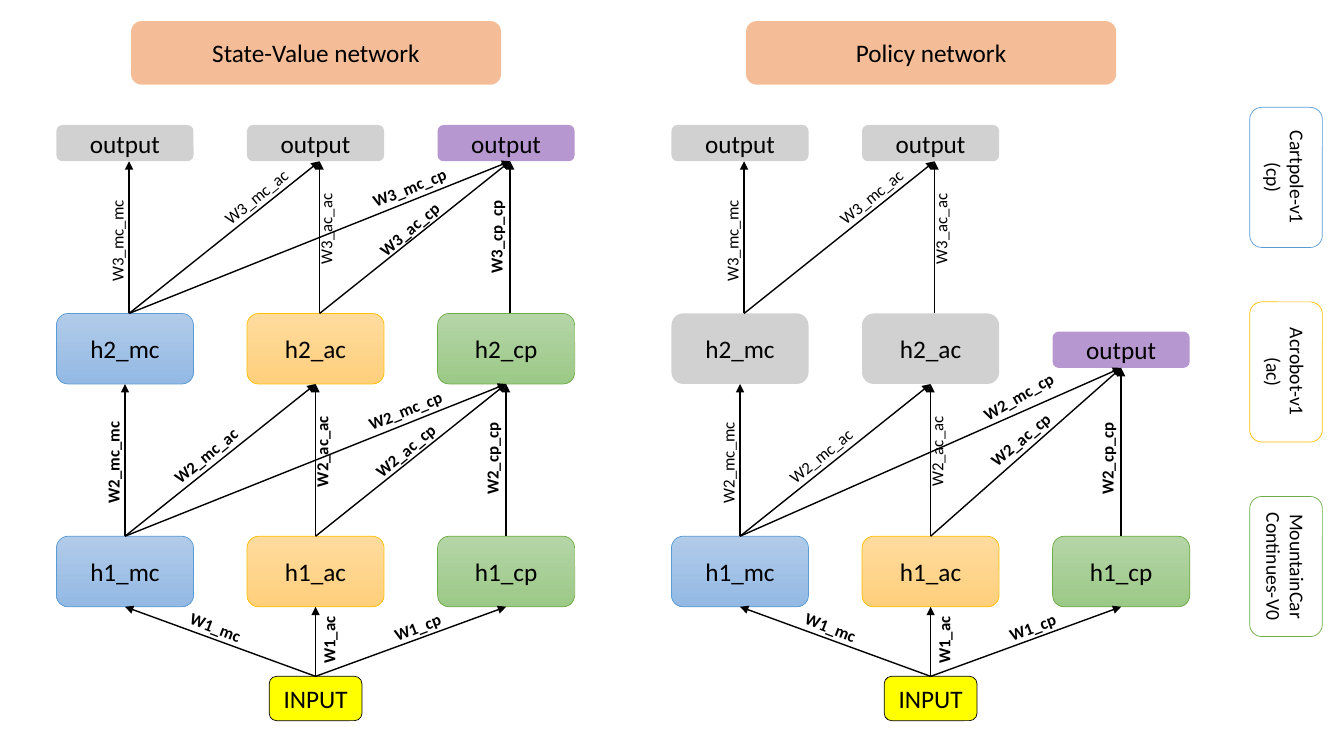
"""Build a slide of two progressive networks with their weights and a task legend."""
from dataclasses import dataclass

from lxml.etree import SubElement
from pptx import Presentation
from pptx.dml.color import RGBColor
from pptx.enum.shapes import MSO_CONNECTOR as CONN, MSO_SHAPE as SHAPE
from pptx.enum.text import MSO_ANCHOR as ANCHOR, PP_ALIGN as ALIGN
from pptx.oxml.ns import qn
from pptx.util import Pt

PX = 9144


@dataclass(frozen=True)
class Style:
    fill: tuple = ()
    line: str = ""
    alpha: int = 100


@dataclass(frozen=True)
class Theme:
    font: str = "Calibri"
    ink: str = "000000"
    node_pt: int = 18
    legend_pt: int = 14
    weight_pt: int = 12
    box_line: float = 0.5
    arrow_line: float = 1


THEME = Theme()
STYLES = {
    "mc": Style(("B1CBE9", "93B9E4"), "5B9BD5"),
    "ac": Style(("FFDB9E", "FFD07C"), "FFC000"),
    "cp": Style(("B5D5A7", "9CC987"), "70AD47"),
    "input": Style(("FFFF00",), "000000"),
    "frozen": Style(("A5A5A5",), alpha=50),
    "output": Style(("7030A0",), alpha=50),
    "heading": Style(("ED7D31",), alpha=50),
}
COLUMNS = ["mc", "ac", "cp"]
FIRST_X, COLUMN_STEP = 124, 189
ROWS = {
    "heading": (21, 367, 63),
    "out": (124, 136, 36),
    "h2": (311, 136, 70),
    "mid_out": (329, 136, 36),
    "h1": (532, 136, 70),
    "in": (671, 92, 44),
}
BASE_NODES = [("in", "INPUT", "in", "ac", "input")] + [
    (f"h1_{c}", f"h1_{c}", "h1", c, c) for c in COLUMNS]
STATE_VALUE_NODES = BASE_NODES + [
    (f"h2_{c}", f"h2_{c}", "h2", c, c) for c in COLUMNS] + [
    ("out_mc", "output", "out", "mc", "frozen"),
    ("out_ac", "output", "out", "ac", "frozen"),
    ("out_cp", "output", "out", "cp", "output")]
POLICY_NODES = BASE_NODES + [
    (f"h2_{c}", f"h2_{c}", "h2", c, "frozen") for c in COLUMNS[:2]] + [
    ("h2_cp", "output", "mid_out", "cp", "output")] + [
    (f"out_{c}", "output", "out", c, "frozen") for c in COLUMNS[:2]]

WEIGHTS = [
    ("W1_mc", "in", "h1_mc", 214, 622, 20.9),
    ("W1_ac", "in", "h1_ac", 326, 635, 270),
    ("W1_cp", "in", "h1_cp", 414, 622, 339.2),
    ("W2_mc_mc", "h1_mc", "h2_mc", 112, 459, 270),
    ("W2_mc_ac", "h1_mc", "h2_ac", 204, 452, 320.6),
    ("W2_mc_cp", "h1_mc", "h2_cp", 402, 407, 338.2),
    ("W2_ac_ac", "h1_ac", "h2_ac", 319, 448, 270),
    ("W2_ac_cp", "h1_ac", "h2_cp", 402, 447, 319.8),
    ("W2_cp_cp", "h1_cp", "h2_cp", 488, 455, 270),
    ("W3_mc_mc", "h2_mc", "out_mc", 116, 239, 270),
    ("W3_mc_ac", "h2_mc", "out_ac", 254, 195, 320.6),
    ("W3_mc_cp", "h2_mc", "out_cp", 406, 186, 338.2),
    ("W3_ac_ac", "h2_ac", "out_ac", 323, 227, 270),
    ("W3_ac_cp", "h2_ac", "out_cp", 406, 227, 319.8),
    ("W3_cp_cp", "h2_cp", "out_cp", 492, 235, 270),
]
POLICY_PLACES = {"W2_mc_cp": (400, 393, 330.2), "W2_ac_cp": (402, 436, 319.8)}
PANELS = [
    ("State-Value network", 0, STATE_VALUE_NODES, {}),
    ("Policy network", 610, POLICY_NODES, POLICY_PLACES),
]
LEGEND = [("Cartpole-v1\n(cp)", "mc"), ("Acrobot-v1\n(ac)", "ac"),
          ("MountainCar\vContinues-V0", "cp")]
LEGEND_X, LEGEND_Y, LEGEND_STEP, LEGEND_W, LEGEND_H = 1206, 140, 193, 139, 72
LABEL_W, LABEL_H = 115, 30
OUTPUT_ARROW_SHIFT = 4


def rgb(code):
    return RGBColor.from_string(code)


def set_text(sp, text, size, bold=False):
    tf = sp.text_frame
    tf.word_wrap = True
    tf.text = text
    for p in tf.paragraphs:
        p.alignment = ALIGN.CENTER
        for r in p.runs:
            r.font.name, r.font.size, r.font.bold = THEME.font, Pt(size), bold
            r.font.color.rgb = rgb(THEME.ink)


def add_box(s, x, y, w, h, text, style, size=THEME.node_pt):
    sp = s.shapes.add_shape(SHAPE.ROUNDED_RECTANGLE, *(v * PX for v in (x, y, w, h)))
    sp.shadow.inherit = False
    if len(style.fill) == 2:
        sp.fill.gradient()
        sp.fill.gradient_angle = 270
        for stop, code in zip(sp.fill.gradient_stops, style.fill):
            stop.color.rgb = rgb(code)
    elif style.fill:
        sp.fill.solid()
        sp.fill.fore_color.rgb = rgb(style.fill[0])
        if style.alpha < 100:
            color = sp._element.spPr.find(".//" + qn("a:srgbClr"))
            SubElement(color, qn("a:alpha"), val=str(style.alpha * 1000))
    else:
        sp.fill.background()
    if style.line:
        sp.line.color.rgb = rgb(style.line)
        sp.line.width = Pt(THEME.box_line)
    else:
        sp.line.fill.background()
    set_text(sp, text, size)
    sp.text_frame.vertical_anchor = ANCHOR.MIDDLE
    return sp


def add_node(s, cx, row, text, style):
    y, w, h = ROWS[row]
    return add_box(s, cx - w // 2, y, w, h, text, style)


def add_arrow(s, src, dst, shift):
    x1, x2 = (b.left + b.width // 2 + shift * PX for b in (src, dst))
    line = s.shapes.add_connector(CONN.STRAIGHT, x1, src.top, x2, dst.top + dst.height)
    if not shift:
        line.begin_connect(src, 0)
        line.end_connect(dst, 2)
    line.line.color.rgb = rgb(THEME.ink)
    line.line.width = Pt(THEME.arrow_line)
    sppr = line._element.spPr
    SubElement(sppr.find(qn("a:ln")), qn("a:tailEnd"), type="triangle")
    SubElement(sppr, qn("a:effectLst"))


def add_label(s, cx, cy, angle, text, bold):
    sp = s.shapes.add_textbox((cx - LABEL_W / 2) * PX, (cy - LABEL_H / 2) * PX,
                              LABEL_W * PX, LABEL_H * PX)
    sp.rotation = angle
    set_text(sp, text, THEME.weight_pt, bold)


def add_panel(s, heading, left, nodes, places):
    add_node(s, left + FIRST_X + COLUMN_STEP, "heading", heading, STYLES["heading"])
    boxes = {}
    for key, text, row, column, style in nodes:
        cx = left + FIRST_X + COLUMN_STEP * COLUMNS.index(column)
        boxes[key] = add_node(s, cx, row, text, STYLES[style])
    frozen = {node[0] for node in nodes if node[-1] == "frozen"}
    for name, src, dst, *place in WEIGHTS:
        if src in boxes and dst in boxes:
            shift = OUTPUT_ARROW_SHIFT if dst.startswith("out") else 0
            add_arrow(s, boxes[src], boxes[dst], shift)
            cx, cy, angle = places.get(name, place)
            add_label(s, left + cx, cy, angle, name, dst not in frozen)


def main():
    prs = Presentation()
    prs.slide_width, prs.slide_height = 1333 * PX, 750 * PX
    s = prs.slides.add_slide(prs.slide_layouts[6])
    for panel in PANELS:
        add_panel(s, *panel)
    for i, (text, task) in enumerate(LEGEND):
        sp = add_box(s, LEGEND_X, LEGEND_Y + i * LEGEND_STEP, LEGEND_W, LEGEND_H, text,
                     Style(line=STYLES[task].line), THEME.legend_pt)
        sp.rotation = 90
    prs.save("out.pptx")


if __name__ == "__main__":
    main()
